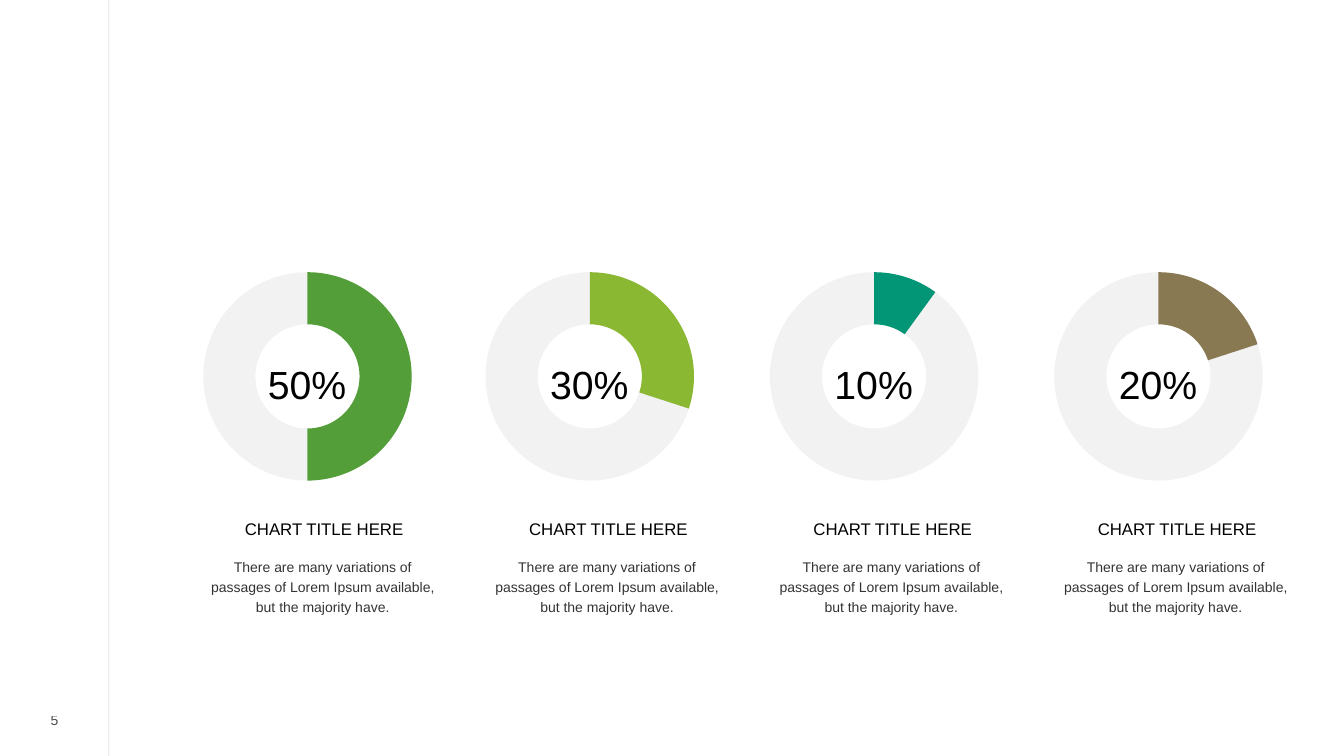
from dataclasses import dataclass

from lxml import etree
from pptx import Presentation
from pptx.chart.data import CategoryChartData
from pptx.dml.color import RGBColor
from pptx.enum.chart import XL_CHART_TYPE
from pptx.enum.shapes import MSO_CONNECTOR
from pptx.enum.text import MSO_ANCHOR, MSO_AUTO_SIZE, PP_ALIGN
from pptx.oxml.ns import qn
from pptx.slide import Slide
from pptx.util import Inches, Pt

DOUGHNUT = XL_CHART_TYPE.DOUGHNUT
STRAIGHT = MSO_CONNECTOR.STRAIGHT
TOP, MIDDLE = MSO_ANCHOR.TOP, MSO_ANCHOR.MIDDLE
CENTER = PP_ALIGN.CENTER
GROW, FIXED = MSO_AUTO_SIZE.SHAPE_TO_FIT_TEXT, MSO_AUTO_SIZE.NONE


@dataclass(frozen=True)
class Theme:
    ink: str = "000000"
    text_font: str = "Arial"
    chart_font: str = "Open Sans"
    percent_size: int = 28
    title_size: int = 12
    body_size: int = 10
    line_opacity: int = 20
    track_opacity: int = 5


@dataclass(frozen=True)
class TextStyle:
    size: int
    spacing: float = 1.0
    opacity: int = 100
    anchor: MSO_ANCHOR = TOP
    auto_size: MSO_AUTO_SIZE = FIXED
    margins: tuple[float, float, float, float] = (0, 0, 0, 0)


@dataclass(frozen=True)
class Box:
    left: float
    top: float
    width: float
    height: float

    def lengths(self) -> list[int]:
        return [Inches(n) for n in (self.left, self.top, self.width, self.height)]


@dataclass(frozen=True)
class Ring:
    percent: int
    color: str
    left: float


THEME = Theme()
PERCENT = TextStyle(THEME.percent_size, 1.45, anchor=MIDDLE, margins=(0.1, 0, 0.1, 0.05))
TITLE = TextStyle(THEME.title_size, 0.7, auto_size=GROW, margins=(0, 0.05, 0, 0.05))
BODY = TextStyle(THEME.body_size, 1.2, 80, auto_size=GROW, margins=(0, 0.05, 0, 0.05))
NUMBER = TextStyle(THEME.body_size, opacity=70, anchor=MIDDLE)

RINGS = [
    Ring(50, "549E39", 1.56),
    Ring(30, "8AB833", 4.36),
    Ring(10, "029676", 7.18),
    Ring(20, "887952", 10.0),
]
CAPTION_LEFT, CAPTION_STEP = 2.04, 2.82
TITLE_TEXT = "CHART TITLE HERE"
BODY_TEXT = ("There are many variations of passages of Lorem Ipsum available, "
             "but the majority have.")
PLOT_LAYOUT = {"layoutTarget": "inner", "xMode": "edge", "yMode": "edge",
               "x": 0.15, "y": 0.06, "w": 0.7, "h": 0.88}


def fade(element: etree.ElementBase, opacity: int) -> None:
    """Make the ink colour inside an element partly transparent."""
    for color in element.iter(qn("a:srgbClr")):
        if color.get("val") == THEME.ink and opacity < 100:
            etree.SubElement(color, qn("a:alpha")).set("val", str(opacity * 1000))


def add_text(slide: Slide, box: Box, text: str, style: TextStyle) -> None:
    shape = slide.shapes.add_textbox(*box.lengths())
    left, top, right, bottom = (Inches(margin) for margin in style.margins)
    frame_format = {
        "word_wrap": True, "auto_size": style.auto_size, "vertical_anchor": style.anchor,
        "margin_left": left, "margin_top": top,
        "margin_right": right, "margin_bottom": bottom,
    }
    for name, value in frame_format.items():
        setattr(shape.text_frame, name, value)
    paragraph = shape.text_frame.paragraphs[0]
    paragraph.alignment = CENTER
    paragraph.line_spacing = style.spacing
    run = paragraph.add_run()
    run.text = text
    run.font.name = THEME.text_font
    run.font.size = Pt(style.size)
    run.font.color.rgb = RGBColor.from_string(THEME.ink)
    fade(shape.element, style.opacity)


def add_ring(slide: Slide, ring: Ring) -> None:
    data = CategoryChartData()
    data.categories = ["1", "2"]
    data.add_series("Series 1", (ring.percent, 100 - ring.percent))
    box = Box(ring.left, 2.56, 2.98, 2.35)
    chart = slide.shapes.add_chart(DOUGHNUT, *box.lengths(), data).chart
    chart.has_title = False
    chart.has_legend = False

    # Share and pale track
    for index, color in enumerate((ring.color, THEME.ink)):
        point_format = chart.plots[0].series[0].points[index].format
        point_format.fill.solid()
        point_format.fill.fore_color.rgb = RGBColor.from_string(color)
        point_format.line.fill.background()
    fade(chart.element, THEME.track_opacity)

    # Hole and plot position
    next(chart.element.iter(qn("c:holeSize"))).set("val", "80")
    plot_area = next(chart.element.iter(qn("c:plotArea")))
    for layout in plot_area.findall(qn("c:layout")):
        plot_area.remove(layout)
    layout = etree.Element(qn("c:layout"))
    manual = etree.SubElement(layout, qn("c:manualLayout"))
    for name, value in PLOT_LAYOUT.items():
        etree.SubElement(manual, qn(f"c:{name}")).set("val", str(value))
    plot_area.insert(0, layout)

    chart.font.name = THEME.chart_font
    chart.font.size = Pt(THEME.body_size)
    chart.font.color.rgb = RGBColor.from_string(THEME.ink)


def add_margin_line(slide: Slide) -> None:
    line = slide.shapes.add_connector(
        STRAIGHT, Inches(1.08), Inches(0), Inches(1.08), Inches(7.5))
    line.line.width = Pt(0.5)
    line.line.color.rgb = RGBColor.from_string(THEME.ink)
    fade(line.element, THEME.line_opacity)
    etree.SubElement(line.element.spPr, qn("a:effectLst"))


def main() -> None:
    presentation = Presentation()
    presentation.slide_width = Inches(13.33)
    presentation.slide_height = Inches(7.5)
    slide = presentation.slides.add_slide(presentation.slide_layouts[6])

    # Margin and slide number
    add_margin_line(slide)
    add_text(slide, Box(0.26, 7.02, 0.56, 0.25), "5", NUMBER)

    # Rings with their percentages
    for ring in RINGS:
        add_ring(slide, ring)
        add_text(slide, Box(ring.left + 0.85, 3.44, 1.27, 0.57), f"{ring.percent}%", PERCENT)

    # Captions
    for column in range(len(RINGS)):
        left = CAPTION_LEFT + column * CAPTION_STEP
        add_text(slide, Box(left, 5.15, 2.35, 0.26), TITLE_TEXT, TITLE)
        add_text(slide, Box(left, 5.46, 2.32, 0.71), BODY_TEXT, BODY)

    presentation.save("out.pptx")


if __name__ == "__main__":
    main()
